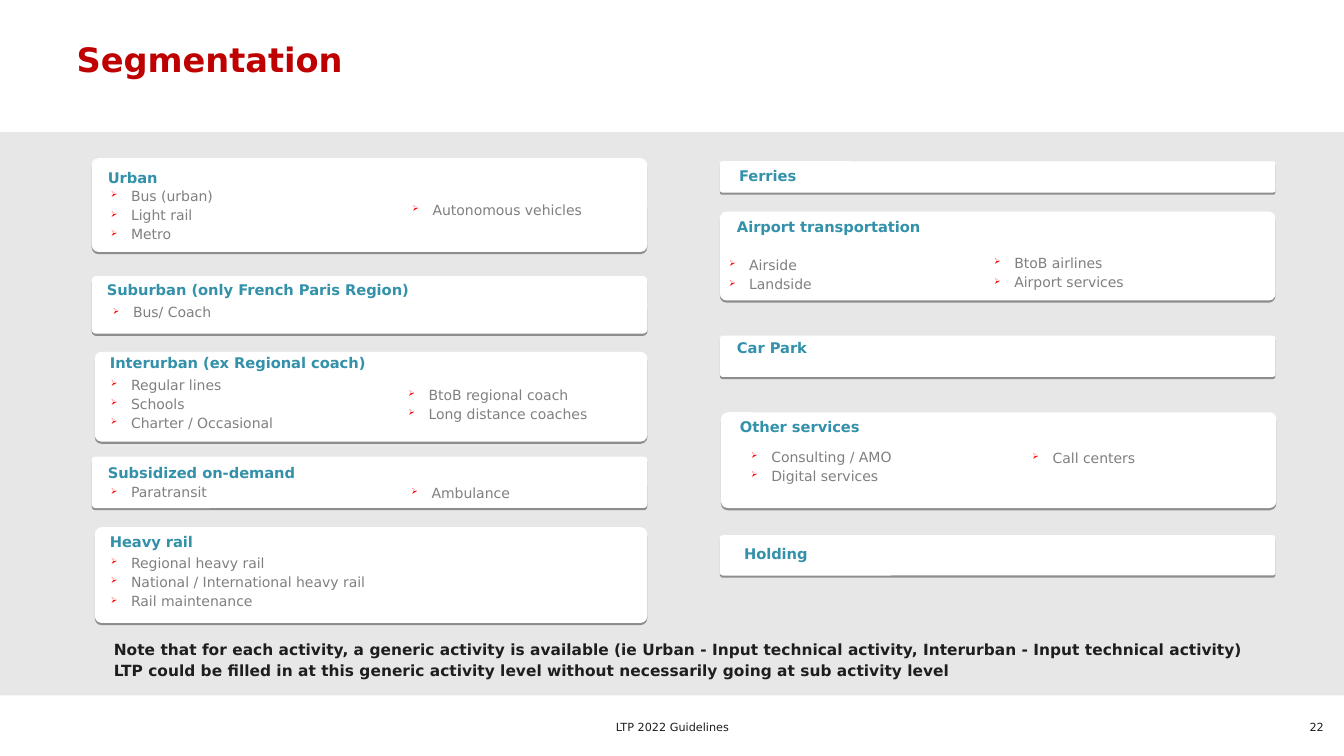
from dataclasses import dataclass
from lxml.etree import SubElement
from pptx import Presentation
from pptx.dml.color import RGBColor
from pptx.enum.shapes import MSO_SHAPE
from pptx.enum.text import MSO_ANCHOR, PP_ALIGN
from pptx.oxml.ns import qn
from pptx.util import Inches, Pt


@dataclass(frozen=True)
class Theme:
    font: str = "DejaVu Sans"
    red: str = "BF0000"
    teal: str = "3391AA"
    grey: str = "808080"
    dark: str = "1E1E1E"
    panel: str = "E7E7E8"
    white: str = "FFFFFF"
    bullet: str = "FF0000"
    title_size: float = 24
    note_size: float = 11
    segment_size: float = 10.5
    item_size: float = 10
    footer_size: float = 8


theme = Theme()


def write(box, lines, size, color, bold=False, align=PP_ALIGN.LEFT,
          anchor=MSO_ANCHOR.MIDDLE, side=0, edge=0):
    """Fill a box with one formatted paragraph per line."""
    frame = box.text_frame
    frame.word_wrap = True
    frame.vertical_anchor = anchor
    frame.margin_left = frame.margin_right = Inches(side)
    frame.margin_top = frame.margin_bottom = Inches(edge)
    frame.text = "\n".join(lines)
    for paragraph in frame.paragraphs:
        paragraph.alignment = align
        for run in paragraph.runs:
            run.font.name = theme.font
            run.font.size = Pt(size)
            run.font.bold = bold
            run.font.color.rgb = RGBColor.from_string(color)
    return frame.paragraphs


def space_as_list(paragraph, left, hanging=0, bullet=None):
    """Set the tight list spacing, the indent and an optional bullet."""
    paragraph.line_spacing = 0.8
    props = paragraph._p.get_or_add_pPr()
    props.set("marL", str(Inches(left)))
    props.set("indent", str(-Inches(hanging)))
    before = SubElement(props, qn("a:spcBef"))
    SubElement(before, qn("a:spcPct"), val="40000")
    if bullet:
        color = SubElement(props, qn("a:buClr"))
        SubElement(color, qn("a:srgbClr"), val=theme.bullet)
        SubElement(props, qn("a:buSzPct"), val="60000")
        SubElement(props, qn("a:buChar"), char=bullet)


prs = Presentation()
prs.slide_width, prs.slide_height = Inches(13.33), Inches(7.5)
slide = prs.slides.add_slide(prs.slide_layouts[5])
shapes = slide.shapes

# Title
title = shapes.title
title.left, title.top, title.width, title.height = map(Inches, (0.72, 0.17, 11.93, 0.89))
write(title, ["Segmentation"], theme.title_size, theme.red, bold=True, side=0.04)[0].line_spacing = 0.9

# Grey panel
panel = shapes.add_shape(MSO_SHAPE.RECTANGLE, *map(Inches, (0, 1.31, 13.33, 5.59)))
panel.shadow.inherit = False
panel.fill.solid()
panel.fill.fore_color.rgb = RGBColor.from_string(theme.panel)
panel.line.fill.background()

# Segments: name, card box, name position, lists of activities with their boxes
segments = [
    ("Urban", (0.91, 1.57, 5.51, 0.93), (0.99, 1.68), [
        ((0.91, 1.8, 2.25, 0.7), ["Bus (urban)", "Light rail", "Metro"]),
        ((3.9, 1.82, 2.02, 0.55), ["Autonomous vehicles"])]),
    ("Suburban (only French Paris Region)", (0.91, 2.74, 5.51, 0.57), (0.98, 2.79), [
        ((0.93, 2.91, 3.16, 0.41), ["Bus/ Coach"])]),
    ("Interurban (ex Regional coach)", (0.94, 3.49, 5.48, 0.89), (1.01, 3.52), [
        ((0.91, 3.67, 2.9, 0.7), ["Regular lines", "Schools", "Charter / Occasional"]),
        ((3.86, 3.74, 2.18, 0.57), ["BtoB regional coach", "Long distance coaches"])]),
    ("Subsidized on-demand", (0.91, 4.53, 5.51, 0.51), (0.99, 4.61), [
        ((0.91, 4.76, 2.72, 0.28), ["Paratransit"]),
        ((3.89, 4.76, 2.02, 0.29), ["Ambulance"])]),
    ("Heavy rail", (0.94, 5.23, 5.48, 0.95), (1.01, 5.29), [
        ((0.91, 5.45, 3.84, 0.68),
         ["Regional heavy rail", "National / International heavy rail", "Rail maintenance"])]),
    ("Ferries", (7.14, 1.6, 5.51, 0.31), (7.25, 1.66), []),
    ("Airport transportation", (7.14, 2.1, 5.51, 0.88), (7.23, 2.17), [
        ((7.04, 2.51, 1.42, 0.46), ["Airside", "Landside"]),
        ((9.67, 2.55, 2.31, 0.34), ["BtoB airlines", "Airport services"])]),
    ("Car Park", (7.14, 3.33, 5.51, 0.41), (7.23, 3.37), []),
    ("Other services", (7.15, 4.09, 5.51, 0.95), (7.26, 4.15), [
        ((7.26, 4.3, 2.7, 0.68), ["Consulting / AMO", "Digital services"]),
        ((10.05, 4.27, 2.18, 0.57), ["Call centers"])]),
    ("Holding", (7.14, 5.31, 5.51, 0.4), (7.3, 5.41), []),
]
for name, card_box, name_at, activity_lists in segments:
    # Card with a hard shadow below
    card = shapes.add_shape(MSO_SHAPE.ROUNDED_RECTANGLE, *map(Inches, card_box))
    card.adjustments[0] = 0.072
    card.fill.solid()
    card.fill.fore_color.rgb = RGBColor.from_string(theme.white)
    card.line.fill.background()
    card.shadow.inherit = False
    effects = card._element.spPr.find(qn("a:effectLst"))
    shadow = SubElement(effects, qn("a:outerShdw"), blurRad="0", dist=str(Pt(1.6)),
                        dir="5400000", algn="t", rotWithShape="0")
    shadow_color = SubElement(shadow, qn("a:srgbClr"), val="000000")
    SubElement(shadow_color, qn("a:alpha"), val="38000")

    # Segment name
    heading = shapes.add_textbox(*map(Inches, (*name_at, 5.07, 0.16)))
    write(heading, [name], theme.segment_size, theme.teal, bold=True, side=0.08)

    # Activities
    for list_box, activities in activity_lists:
        activity_list = shapes.add_textbox(*map(Inches, list_box))
        for activity in write(activity_list, activities, theme.item_size, theme.grey):
            space_as_list(activity, 0.39, 0.2, "➢")

# Note
note = shapes.add_textbox(*map(Inches, (0.84, 6.34, 11.69, 0.47)))
note_lines = [
    "Note that for each activity, a generic activity is available "
    "(ie Urban - Input technical activity, Interurban - Input technical activity)",
    "LTP could be filled in at this generic activity level without necessarily "
    "going at sub activity level",
]
for line in write(note, note_lines, theme.note_size, theme.dark, bold=True,
                  anchor=MSO_ANCHOR.TOP, side=0.1, edge=0.05):
    space_as_list(line, 0.19)

# Footer and page number
for text, box, align in [
    ("LTP 2022 Guidelines", (4.11, 7.15, 5.12, 0.13), PP_ALIGN.CENTER),
    ("22", (12.84, 7.15, 0.33, 0.13), PP_ALIGN.RIGHT),
]:
    footer = shapes.add_textbox(*map(Inches, box))
    write(footer, [text], theme.footer_size, theme.dark, align=align,
          anchor=MSO_ANCHOR.BOTTOM, side=0.04)

prs.save("out.pptx")
